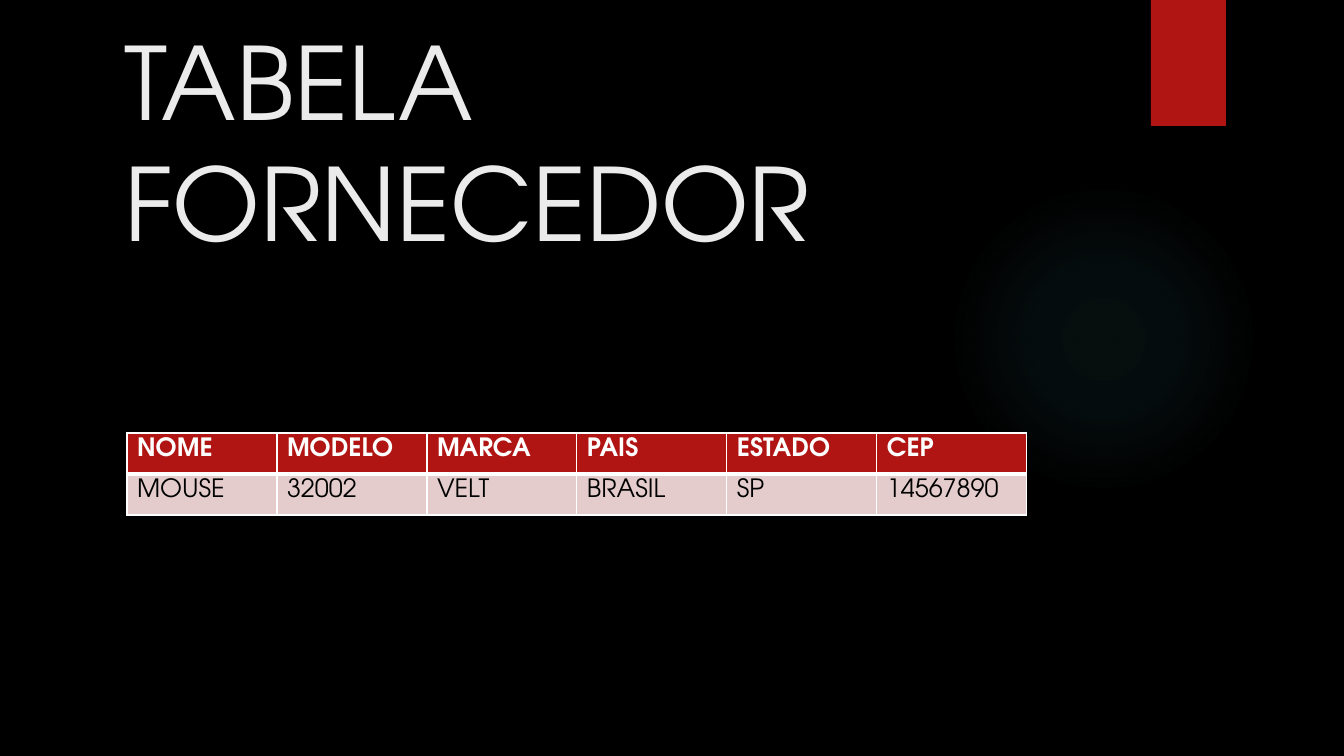
from lxml import etree
from pptx import Presentation
from pptx import util as u
from pptx.dml.color import RGBColor
from pptx.enum import shapes, text
from pptx.oxml import parse_xml
from pptx.oxml.ns import nsdecls, qn

PX = 914400 / 100.8
FONT = "TeX Gyre Adventor"
RED, WHITE, BLACK, PALE, TEAL = "B01513", "FFFFFF", "000000", "E4CCCC", "50B9C1"


def rgb(value):
    """Turn a hex string into a colour."""
    return RGBColor.from_string(value)


def px(*lengths):
    """Turn pixels into a list of EMU lengths."""
    return [u.Emu(round(n * PX)) for n in lengths]


def colour_xml(color, alpha):
    """Return a colour element with an opacity in percent."""
    return f'<a:srgbClr val="{color}"><a:alpha val="{alpha * 1000}"/></a:srgbClr>'


class Deck:
    """Holds the style and the current slide."""

    def __init__(self, prs, background):
        self.s = prs.slides.add_slide(prs.slide_layouts[5])
        fill = self.s.background.fill
        fill.solid()
        fill.fore_color.rgb = rgb(background)

    def style(self, p, size, color, bold=False):
        """Format every run of a paragraph."""
        for r in p.runs:
            r.font.name, r.font.size, r.font.bold = FONT, u.Pt(size), bold
            r.font.color.rgb = rgb(color)

    def shape(self, kind, box, color):
        """Add a plain shape without line or shadow."""
        sp = self.s.shapes.add_shape(kind, *px(*box))
        sp.shadow.inherit = False
        sp.fill.solid()
        sp.fill.fore_color.rgb = rgb(color)
        sp.line.fill.background()
        return sp

    def glow(self, box, color, stops):
        """Add a circle that fades out from its centre."""
        sp = self.shape(shapes.MSO_SHAPE.OVAL, box, color)
        gs = "".join(f'<a:gs pos="{pos * 1000}">{colour_xml(color, alpha)}</a:gs>'
                     for pos, alpha in stops)
        grad = parse_xml(
            f'<a:gradFill {nsdecls("a")}><a:gsLst>{gs}</a:gsLst><a:path path="circle">'
            '<a:fillToRect l="50000" t="50000" r="50000" b="50000"/></a:path></a:gradFill>')
        solid = sp.element.spPr.find(qn("a:solidFill"))
        solid.getparent().replace(solid, grad)

    def ribbon(self, box, color):
        """Add a rectangle with a soft shadow below it."""
        sp = self.shape(shapes.MSO_SHAPE.RECTANGLE, box, color)
        effects = sp.element.spPr.find(qn("a:effectLst"))
        effects.append(parse_xml(
            f'<a:outerShdw {nsdecls("a")} blurRad="{u.Pt(3)}" dist="{u.Pt(2)}" '
            f'dir="5400000" rotWithShape="0">{colour_xml(BLACK, 45)}</a:outerShdw>'))

    def title(self, box, words, size, color):
        """Fill and place the title."""
        sp = self.s.shapes.title
        sp.left, sp.top, sp.width, sp.height = px(*box)
        tf = sp.text_frame
        tf.text = words
        tf.word_wrap = True
        tf.auto_size = text.MSO_AUTO_SIZE.NONE
        tf.vertical_anchor = text.MSO_ANCHOR.BOTTOM
        p = tf.paragraphs[0]
        p.alignment = text.PP_ALIGN.LEFT
        self.style(p, size, color)

    def borders(self, cell, color, widths):
        """Draw the cell borders, with widths in points by side."""
        tcPr = cell._tc.get_or_add_tcPr()
        for side, width in widths.items():
            ln = etree.SubElement(tcPr, qn(f"a:ln{side}"), w=str(u.Pt(width)))
            solid = etree.SubElement(ln, qn("a:solidFill"))
            etree.SubElement(solid, qn("a:srgbClr"), val=color)

    def table(self, left, top, col_width, row_height, rows):
        """Add a table with a red header row and pale body rows."""
        size = (len(rows[0]) * col_width, len(rows) * row_height)
        table = self.s.shapes.add_table(
            len(rows), len(rows[0]), *px(left, top, *size)).table
        for i, row in enumerate(rows):
            header = i == 0
            for j, words in enumerate(row):
                cell = table.cell(i, j)
                cell.text = words
                self.style(cell.text_frame.paragraphs[0], 18,
                           WHITE if header else BLACK, header)
                self.borders(cell, WHITE, {"L": 1, "R": 1, "T": 3 if i == 1 else 1,
                                           "B": 3 if header else 1})
                cell.fill.solid()
                cell.fill.fore_color.rgb = rgb(RED if header else PALE)


prs = Presentation()
prs.slide_width, prs.slide_height = px(1344, 756)
deck = Deck(prs, BLACK)
deck.glow((949, 184, 310, 310), TEAL, [(0, 7), (36, 6), (69, 0), (100, 0)])
deck.ribbon((1151, 0, 75, 126), RED)
deck.title((114, -100, 973, 367), "TABELA FORNECEDOR", 72, "EBEBEB")
deck.table(127, 433, 150, 41, [
    ["NOME", "MODELO", "MARCA", "PAIS", "ESTADO", "CEP"],
    ["MOUSE", "32002", "VELT", "BRASIL", "SP", "14567890"],
])
prs.save("out.pptx")
